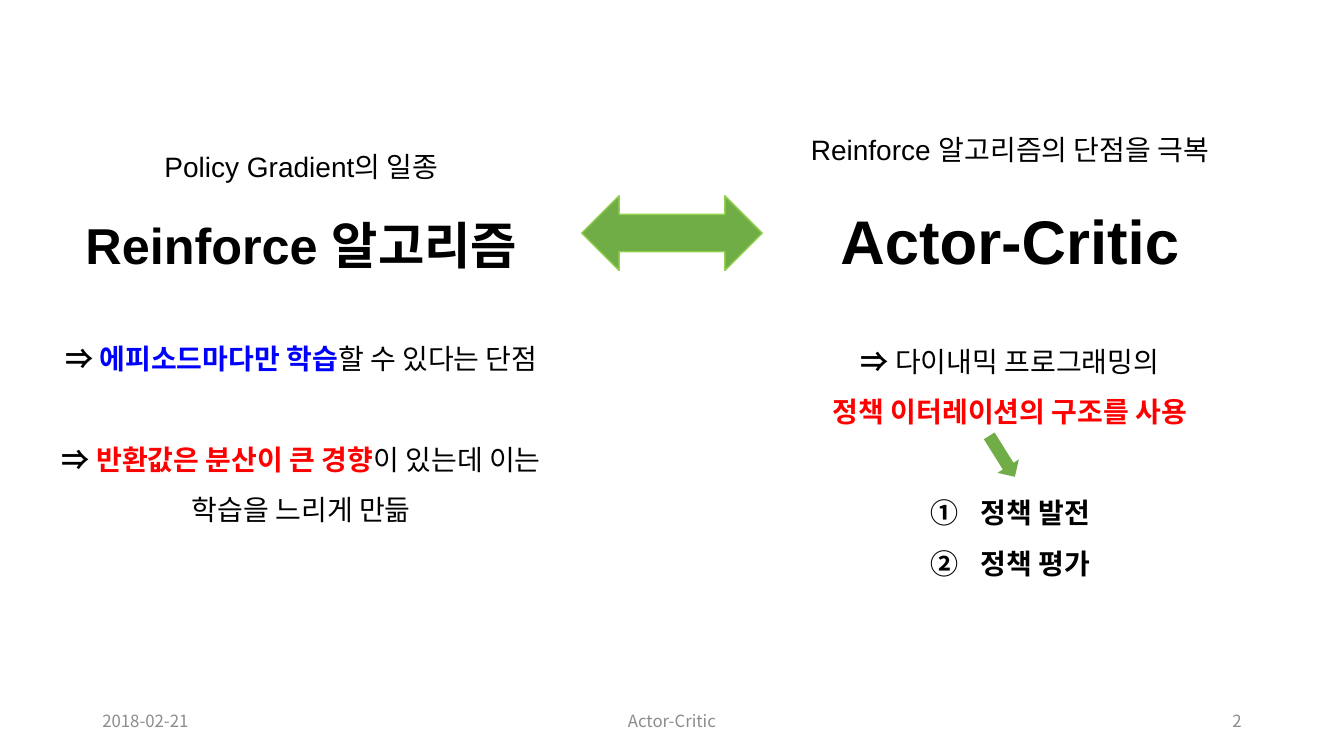
from dataclasses import dataclass, field

from pptx import Presentation
from pptx import util as u
from pptx.dml.color import RGBColor
from pptx.enum import shapes, text
from pptx.oxml import parse_xml
from pptx.oxml.ns import nsdecls

BLACK, BLUE, RED = "000000", "0000FF", "FF0000"
GREEN, LIME, GREY = "70AD47", "92D050", "8C8C8C"
BODY_FONT, FOOTER_FONT = "Arial", "Noto Sans CJK KR"
BLANK_LINE = 36
INSET = 3.6
LEFT, CENTER, RIGHT = text.PP_ALIGN.LEFT, text.PP_ALIGN.CENTER, text.PP_ALIGN.RIGHT


@dataclass
class Span:
    words: str
    size: float = 20
    bold: bool = False
    color: str = BLACK
    font: str = BODY_FONT


@dataclass
class Line:
    spans: list[Span]
    before: float = 0
    align: int = CENTER
    spacing: float = 1.5
    numbered: bool = False


@dataclass
class TextBlock:
    place: tuple[float, float, float, float]
    lines: list[Line] = field(default_factory=list)
    bottom_inset: float = INSET


@dataclass
class Arrow:
    kind: int
    place: tuple[float, float, float, float]
    rotation: float = 0
    outline: str | None = None


def rgb(value: str) -> RGBColor:
    return RGBColor.from_string(value)


def points(place: tuple) -> list:
    return [u.Pt(length) for length in place]


def add_number_bullet(para) -> None:
    properties = para._p.get_or_add_pPr()
    properties.set("marL", str(u.Pt(36)))
    properties.set("indent", str(u.Pt(-36)))
    properties.append(parse_xml(
        f'<a:buAutoNum {nsdecls("a")} type="circleNumDbPlain"/>'))


def add_span(para, span: Span) -> None:
    run = para.add_run()
    run.text = span.words
    formats = {"name": span.font, "size": u.Pt(span.size), "bold": span.bold}
    for name, value in formats.items():
        setattr(run.font, name, value)
    run.font.color.rgb = rgb(span.color)


def add_text(page, block: TextBlock) -> None:
    frame = page.shapes.add_textbox(*points(block.place)).text_frame
    formats = {"word_wrap": True, "vertical_anchor": text.MSO_ANCHOR.MIDDLE,
               "margin_bottom": u.Pt(block.bottom_inset)}
    for name, value in formats.items():
        setattr(frame, name, value)
    for index, line in enumerate(block.lines):
        para = frame.add_paragraph() if index else frame.paragraphs[0]
        formats = {"alignment": line.align, "line_spacing": line.spacing,
                   "space_before": u.Pt(line.before)}
        for name, value in formats.items():
            setattr(para, name, value)
        if line.numbered:
            add_number_bullet(para)
        for span in line.spans:
            add_span(para, span)


def add_arrow(page, arrow: Arrow) -> None:
    shape = page.shapes.add_shape(arrow.kind, *points(arrow.place))
    shape.shadow.inherit = False
    shape.rotation = arrow.rotation
    shape.fill.solid()
    shape.fill.fore_color.rgb = rgb(GREEN)
    if arrow.outline:
        shape.line.color.rgb = rgb(arrow.outline)
        shape.line.width = u.Pt(1)
    else:
        shape.line.fill.background()


def footer(left: float, width: float, words: str, align: int) -> TextBlock:
    span = Span(words, size=12, color=GREY, font=FOOTER_FONT)
    return TextBlock((left, 500.5, width, 28.75), [Line([span], align=align, spacing=1)])


FOOTERS = [
    footer(66, 216, "2018-02-21", LEFT),
    footer(318, 324, "Actor-Critic", CENTER),
    footer(678, 216, "2", RIGHT),
]

# The bottom inset lifts each centred column above the middle of its box
REINFORCE = TextBlock((15, 47.5, 400.5, 448), [
    Line([Span("Policy Gradient의 일종")]),
    Line([Span("Reinforce 알고리즘", size=36, bold=True)]),
    Line([Span("⇒ ", bold=True),
          Span("에피소드마다만 학습", bold=True, color=BLUE),
          Span("할 수 있다는 단점")], before=BLANK_LINE),
    Line([Span("⇒ ", bold=True),
          Span("반환값은 분산이 큰 경향", bold=True, color=RED),
          Span("이 있는데 이는 학습을 느리게 만듦")], before=BLANK_LINE),
], bottom_inset=INSET + 2 * BLANK_LINE)

ACTOR_CRITIC = TextBlock((504, 42.5, 435, 448), [
    Line([Span("Reinforce 알고리즘의 단점을 극복")]),
    Line([Span("Actor-Critic", size=44, bold=True)]),
    Line([Span("⇒", bold=True), Span(" 다이내믹 프로그래밍의")], before=BLANK_LINE),
    Line([Span("정책 이터레이션의 구조를 사용", bold=True, color=RED)]),
    Line([Span("정책 발전", bold=True)], before=BLANK_LINE, numbered=True),
    Line([Span("정책 평가", bold=True)], numbered=True),
], bottom_inset=INSET + BLANK_LINE)

ARROWS = [
    Arrow(shapes.MSO_SHAPE.LEFT_RIGHT_ARROW, (415.5, 139.75, 129, 53.5), outline=LIME),
    Arrow(shapes.MSO_SHAPE.RIGHT_ARROW, (698.5, 317, 34.5, 18), rotation=57.9),
]


def main() -> None:
    deck = Presentation()
    deck.slide_width, deck.slide_height = u.Pt(960), u.Pt(540)
    page = deck.slides.add_slide(deck.slide_layouts[6])

    # Footer and the two compared columns
    for block in [*FOOTERS, REINFORCE, ACTOR_CRITIC]:
        add_text(page, block)

    # Arrows between and inside the columns
    for arrow in ARROWS:
        add_arrow(page, arrow)

    deck.save("out.pptx")


if __name__ == "__main__":
    main()
